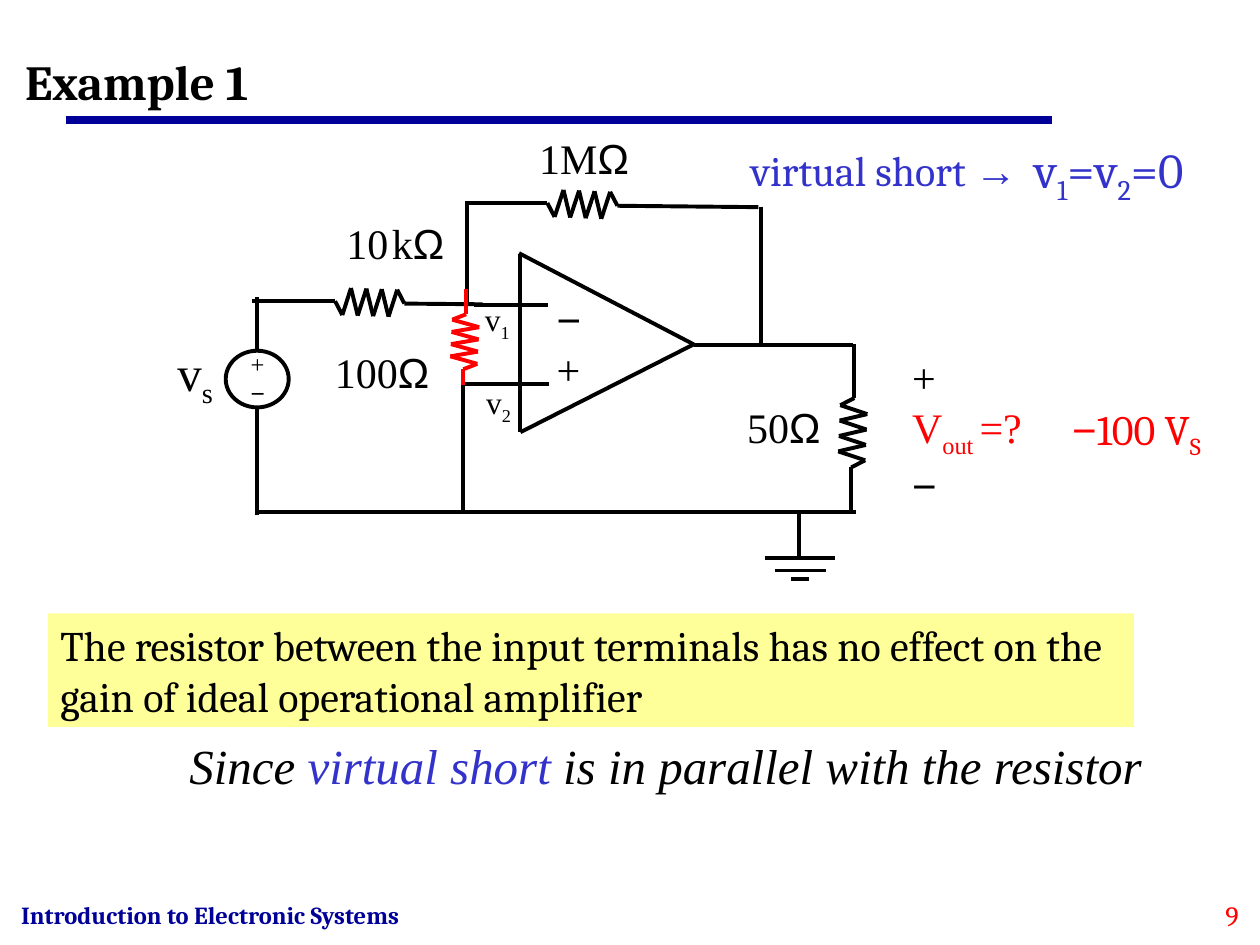
from dataclasses import dataclass
from math import hypot

from lxml import etree
from pptx import Presentation
from pptx.dml.color import RGBColor
from pptx.enum import shapes, text
from pptx.oxml.ns import qn
from pptx.util import Pt


@dataclass(frozen=True)
class Theme:
    black: str = "000000"
    red: str = "FF0000"
    navy: str = "000099"
    blue: str = "3333CC"
    yellow: str = "FFFF99"
    serif: str = "Times New Roman"
    sans: str = "Arial"
    book: str = "Cambria"
    large: int = 28
    body: int = 24
    node: int = 18
    number: int = 16
    small: int = 14
    gap: int = 8
    wire: float = 2.25
    rule: float = 4.5


theme = Theme()
deck = Presentation()
deck.slide_width, deck.slide_height = Pt(720), Pt(540)
page = deck.slides.add_slide(deck.slide_layouts[6])


def draw_path(points, color=theme.black, width=theme.wire):
    """Join successive points with straight connectors."""
    for start, end in zip(points, points[1:]):
        line = page.shapes.add_connector(
            shapes.MSO_CONNECTOR.STRAIGHT, *(Pt(v) for v in (*start, *end)))
        line.line.color.rgb = RGBColor.from_string(color)
        line.line.width = Pt(width)
        etree.SubElement(line._element.spPr, qn("a:effectLst"))


def write(box, paragraphs, size, font, color, wrap=False, align="LEFT",
          bold=None, italic=None):
    """Fill a box; a run is (text, changes), and changes last for that run only."""
    frame = box.text_frame
    frame.word_wrap = wrap
    frame.auto_size = text.MSO_AUTO_SIZE.SHAPE_TO_FIT_TEXT
    frame.vertical_anchor = text.MSO_ANCHOR.TOP
    for index, runs in enumerate(paragraphs):
        para = frame.paragraphs[0] if index == 0 else frame.add_paragraph()
        para.alignment = getattr(text.PP_ALIGN, align)
        for words, changes in runs:
            span = para.add_run()
            span.text = words
            span.font.size = Pt(changes.get("size", size))
            span.font.name = changes.get("font", font)
            span.font.color.rgb = RGBColor.from_string(changes.get("color", color))
            span.font.bold, span.font.italic = bold, italic
            if changes.get("sub"):
                span._r.get_or_add_rPr().set("baseline", "-25000")


# Title rule
draw_path([(37.5, 68.5), (601, 68.5)], theme.navy, theme.rule)

# Wires
wires = [
    [(297.4, 145.4), (297.4, 247)],    # amplifier triangle
    [(296.6, 144.7), (396.4, 196.8), (297.4, 247)],
    [(270.7, 174.2), (313.2, 174.2)],  # inverting input
    [(263.5, 219.6), (313.9, 219.6)],  # non-inverting input
    [(396.7, 197), (487.4, 197)],      # output
    [(146.9, 292.4), (488.9, 292.4)],  # return
    [(267.1, 173.5), (267.1, 115.2)],  # feedback
    [(434.9, 118.1), (434.9, 198)],
    [(146.9, 200.2), (146.9, 169.9)],  # source
    [(146.9, 294.5), (146.9, 233.3)],
    [(456.5, 293), (456.5, 319)],      # ground
    [(437, 319), (477.4, 319)],
    [(442.8, 326), (472.3, 326)],
    [(452.2, 331), (462.2, 331)],
    [(264.8, 216.7), (264.8, 293.8)],
]
for points in wires:
    draw_path(points)

# Resistors: lead in, body start, body end, lead out
resistors = [
    ((275.8, 173.9), (231.1, 173.5), (191.5, 172.1), (144, 172.1), theme.black),
    ((433.4, 118.4), (352.8, 117.6), (312.8, 116), (265.7, 116), theme.black),
    ((486.4, 291.6), (486.4, 267.1), (488.2, 227.5), (488.2, 196.6), theme.black),
    ((264.8, 220.3), (264.8, 211), (266.4, 179.6), (266.4, 164.9), theme.red),
]
teeth, amplitude = 8, 7.8
for lead_in, (x1, y1), (x2, y2), lead_out, color in resistors:
    dx, dy = x2 - x1, y2 - y1
    length = hypot(dx, dy)
    points = [lead_in, (x1, y1)]
    for tooth in range(1, teeth + 1):
        share = tooth / (teeth + 1)
        swing = amplitude * (1 if tooth % 2 else -1) / length
        points.append((x1 + dx * share - dy * swing, y1 + dy * share + dx * swing))
    draw_path(points + [(x2, y2), lead_out], color)

# Source
source = page.shapes.add_shape(
    shapes.MSO_SHAPE.OVAL, Pt(129), Pt(200.4), Pt(36), Pt(32.4))
source.shadow.inherit = False
source.fill.background()
source.line.color.rgb = RGBColor.from_string(theme.black)
source.line.width = Pt(theme.wire)

# Conclusion
note = page.shapes.add_shape(
    shapes.MSO_SHAPE.RECTANGLE, Pt(27.4), Pt(350.6), Pt(620.6), Pt(64.8))
note.shadow.inherit = False
note.fill.solid()
note.fill.fore_color.rgb = RGBColor.from_string(theme.yellow)
note.line.fill.background()
write(note, [[("The resistor between the input terminals has no effect on the "
               "gain of ideal operational amplifier", {})]],
      theme.body, theme.book, theme.black, wrap=True)

# Labels: left, top, width, height, paragraphs, size, font, color, options
sub, sans = {"sub": True}, {"font": theme.sans}
ohm, minus = ("Ω", sans), ("−", sans)
red, red_sub = {"color": theme.red}, {"color": theme.red, "sub": True}
circuit = (theme.body, theme.serif, theme.black)
node = (theme.node, theme.serif, theme.black)
labels = [
    (311, 164.2, 28.1, 64.8, [[minus], [("+", {})]], *circuit, {}),
    (190.8, 121, 70.6, 36, [[("10", {}), (" ", {"size": theme.gap}),
                             ("k", {}), ohm]], *circuit, {}),
    (301, 72, 66.2, 36, [[("1M", {}), ohm]], *circuit, {}),
    (419.8, 226.1, 56.9, 36, [[("50", {}), ohm]], *circuit, {}),
    (184.3, 194.4, 68.4, 36, [[("100", {}), ohm]], *circuit, {}),
    (514.1, 197.3, 82.8, 97.9,
     [[("+", {})], [("V", red), ("out ", red_sub), ("=?", red)], [minus]],
     *circuit, {}),
    (136.1, 195.8, 22.3, 41, [[("+", {})], [minus]],
     theme.small, theme.serif, theme.black, {}),
    (94.3, 192.2, 34.6, 45.4, [[("v", {}), ("s", sub)]],
     theme.large, theme.serif, theme.black, {}),
    (270, 167.8, 28.8, 31.7, [[("v", {}), ("1", sub)]], *node, {}),
    (270.7, 215.3, 28.8, 31.7, [[("v", {}), ("2", sub)]], *node, {}),
    (96.5, 416.9, 563, 41,
     [[("Since ", {}), ("virtual short", {"color": theme.blue}),
       (" is in parallel with the resistor", {})]],
     theme.large, theme.serif, theme.black,
     {"wrap": True, "align": "RIGHT", "italic": True}),
    (7.2, 25.9, 145.4, 41, [[("Example 1", {})]],
     theme.large, theme.book, theme.black, {"bold": True}),
    (599, 226.8, 100.8, 40.3, [[(" −", sans), ("100 V", {}), ("S", sub)]],
     theme.body, theme.book, theme.red, {}),
    (583.9, 76.3, 122.4, 45.4,
     [[("v", {}), ("1", sub), ("=v", {}), ("2", sub), ("=0", {})]],
     theme.large, theme.book, theme.blue, {"wrap": True}),
    (411.8, 79.2, 176.4, 36, [[("virtual short ", {}), ("→", sans)]],
     theme.body, theme.book, theme.blue, {"align": "RIGHT"}),
    (5, 510.5, 277.2, 19.4, [[("Introduction to Electronic Systems", {})]],
     theme.small, theme.book, theme.navy, {"wrap": True, "bold": True}),
    (666.7, 509.8, 48.2, 24.5, [[("9", {})]],
     theme.number, theme.book, theme.red, {"wrap": True, "align": "RIGHT"}),
]
for left, top, width, height, paragraphs, size, font, color, options in labels:
    box = page.shapes.add_textbox(Pt(left), Pt(top), Pt(width), Pt(height))
    write(box, paragraphs, size, font, color, **options)

deck.save("out.pptx")
